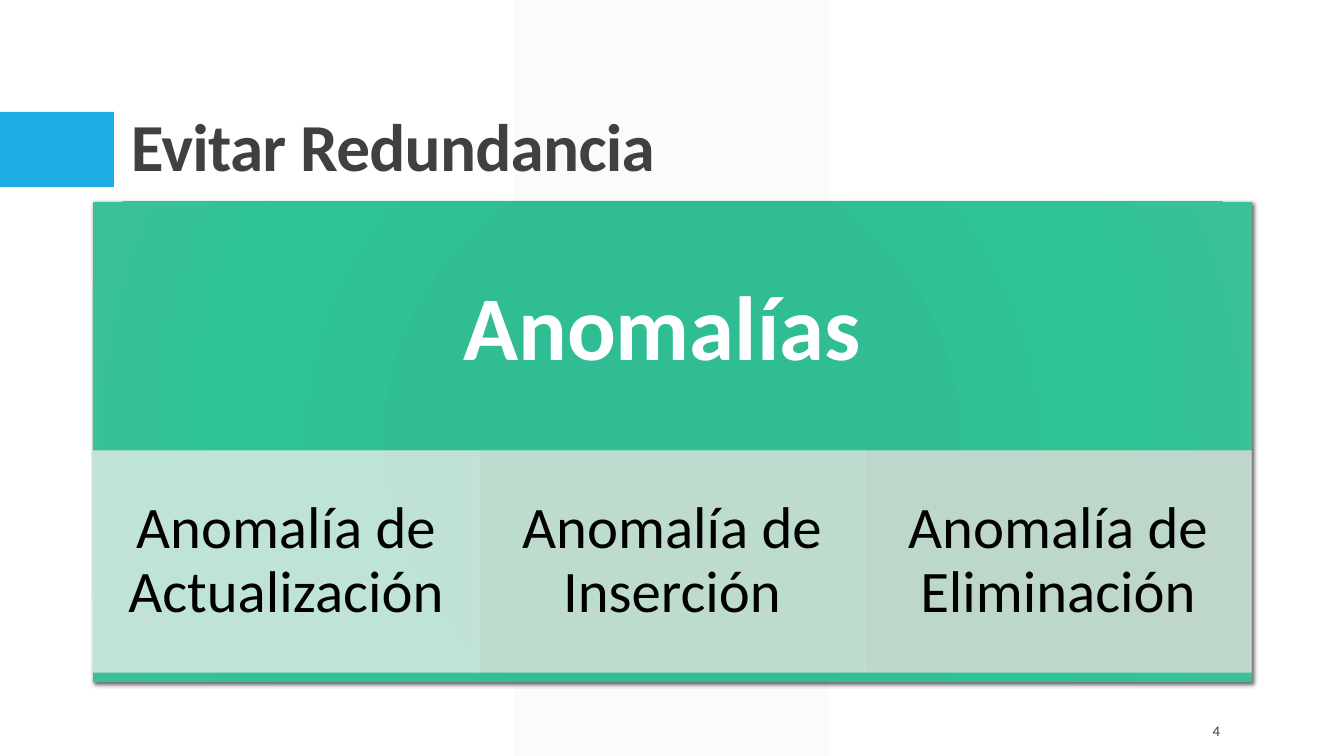
from lxml.etree import SubElement
from pptx import Presentation
from pptx.dml.color import RGBColor
from pptx.enum.shapes import MSO_SHAPE
from pptx.enum.text import MSO_ANCHOR, PP_ALIGN
from pptx.oxml import parse_xml
from pptx.oxml.ns import nsdecls, qn
from pptx.util import Emu, Pt

EMU_PER_PX = 914400 / 100.8

WHITE = RGBColor(0xFF, 0xFF, 0xFF)
BLACK = RGBColor(0x00, 0x00, 0x00)
DARK_GRAY = RGBColor(0x40, 0x40, 0x40)
BAND_GRAY = RGBColor(0xF2, 0xF2, 0xF2)
BLUE = RGBColor(0x1C, 0xAD, 0xE4)
GREEN = RGBColor(0x2D, 0xBE, 0x94)
PANEL_STOPS = [
    (0, GREEN),
    (34, RGBColor(0x30, 0xBD, 0x94)),
    (70, RGBColor(0x2E, 0xC3, 0x97)),
    (100, RGBColor(0x3C, 0xC0, 0x9A)),
]

ANOMALIES = [
    ("Anomalía de Actualización ", RGBColor(0xCF, 0xE7, 0xDD)),
    ("Anomalía de Inserción", RGBColor(0xCE, 0xE0, 0xD5)),
    ("Anomalía de Eliminación", RGBColor(0xCE, 0xDA, 0xD1)),
]
PANEL_LEFT, PANEL_TOP, PANEL_WIDTH, PANEL_HEIGHT = 93, 202, 1159, 480
CELL_TOP, CELL_WIDTH, CELL_HEIGHT = 451, 386, 221


def px(value):
    return Emu(round(value * EMU_PER_PX))


def apply_format(target, values):
    for name, value in values.items():
        setattr(target, name, value)


def set_alpha(color_parent, percent):
    for color in color_parent.iter(qn("a:srgbClr")):
        SubElement(color, qn("a:alpha"), val=str(percent * 1000))


def add_block(slide, kind, box, color, alpha=100, outlined=False):
    shape = slide.shapes.add_shape(kind, *map(px, box))
    shape.shadow.inherit = False
    shape.fill.solid()
    shape.fill.fore_color.rgb = color
    if outlined:
        shape.line.color.rgb = color
        shape.line.width = Pt(1)
    else:
        shape.line.fill.background()
    if alpha < 100:
        set_alpha(shape.element.spPr, alpha)
    return shape


def write_text(shape, text, font_format, paragraph_format, anchor, insets):
    frame = shape.text_frame
    horizontal, vertical = map(px, insets)
    apply_format(frame, {
        "word_wrap": True,
        "vertical_anchor": anchor,
        "margin_left": horizontal,
        "margin_right": horizontal,
        "margin_top": vertical,
        "margin_bottom": vertical,
    })
    paragraph = frame.paragraphs[0]
    apply_format(paragraph, paragraph_format)
    run = paragraph.add_run()
    run.text = text
    color = font_format["color"]
    apply_format(run.font, {
        "name": "Calibri",
        "size": Pt(font_format["size"]),
        "bold": font_format.get("bold", False),
    })
    run.font.color.rgb = color
    return paragraph


def add_label(slide, box, *text_settings):
    label = slide.shapes.add_textbox(*map(px, box))
    return write_text(label, *text_settings)


def add_panel(slide):
    box = (PANEL_LEFT, PANEL_TOP, PANEL_WIDTH, PANEL_HEIGHT)
    panel = add_block(slide, MSO_SHAPE.RECTANGLE, box, GREEN)
    properties = panel.element.spPr
    stops = "".join(
        f'<a:gs pos="{position * 1000}"><a:srgbClr val="{color}"/></a:gs>'
        for position, color in PANEL_STOPS
    )
    gradient = parse_xml(
        f'<a:gradFill {nsdecls("a")} rotWithShape="1"><a:gsLst>{stops}</a:gsLst>'
        '<a:path path="circle">'
        '<a:fillToRect l="100000" t="100000" r="100000" b="100000"/>'
        '</a:path></a:gradFill>'
    )
    properties.replace(properties.find(qn("a:solidFill")), gradient)
    shadow = SubElement(
        properties.find(qn("a:effectLst")), qn("a:outerShdw"),
        blurRad=str(Pt(3)), dist=str(Pt(2)), dir="2700000",
        algn="tl", rotWithShape="0",
    )
    SubElement(shadow, qn("a:srgbClr"), val=str(BLACK))
    set_alpha(shadow, 60)


def add_anomaly(slide, index, text, color):
    box = (PANEL_LEFT + index * CELL_WIDTH, CELL_TOP, CELL_WIDTH, CELL_HEIGHT)
    cell = add_block(slide, MSO_SHAPE.RECTANGLE, box, color, 90, True)
    write_text(
        cell, text, {"size": 42, "color": BLACK},
        {"alignment": PP_ALIGN.CENTER, "line_spacing": 0.9},
        MSO_ANCHOR.MIDDLE, (33, 6),
    )


def main():
    presentation = Presentation()
    apply_format(presentation, {"slide_width": px(1344), "slide_height": px(756)})
    slide = presentation.slides.add_slide(presentation.slide_layouts[6])

    band = add_block(slide, MSO_SHAPE.PARALLELOGRAM, (514, 0, 315, 756), BAND_GRAY, 30)
    band.adjustments[0] = 0
    add_block(slide, MSO_SHAPE.RECTANGLE, (0, 112, 114, 75), BLUE)

    title = add_label(
        slide, (121, 31, 1109, 160), "Evitar Redundancia",
        {"size": 48, "color": DARK_GRAY, "bold": True},
        {"alignment": PP_ALIGN.LEFT, "line_spacing": 0.9},
        MSO_ANCHOR.BOTTOM, (10, 5),
    )
    for run_properties in title._p.iter(qn("a:rPr")):
        run_properties.set("spc", "-50")

    add_panel(slide)
    add_label(
        slide, (PANEL_LEFT, PANEL_TOP, PANEL_WIDTH, 259), "Anomalías ",
        {"size": 65, "color": WHITE, "bold": True},
        {"alignment": PP_ALIGN.CENTER, "line_spacing": 0.9},
        MSO_ANCHOR.MIDDLE, (51, 51),
    )
    for index, (text, color) in enumerate(ANOMALIES):
        add_anomaly(slide, index, text, color)

    add_label(
        slide, (1144, 711, 86, 40), "4",
        {"size": 10.5, "color": DARK_GRAY}, {"alignment": PP_ALIGN.RIGHT},
        MSO_ANCHOR.MIDDLE, (10, 5),
    )
    presentation.save("out.pptx")


if __name__ == "__main__":
    main()
